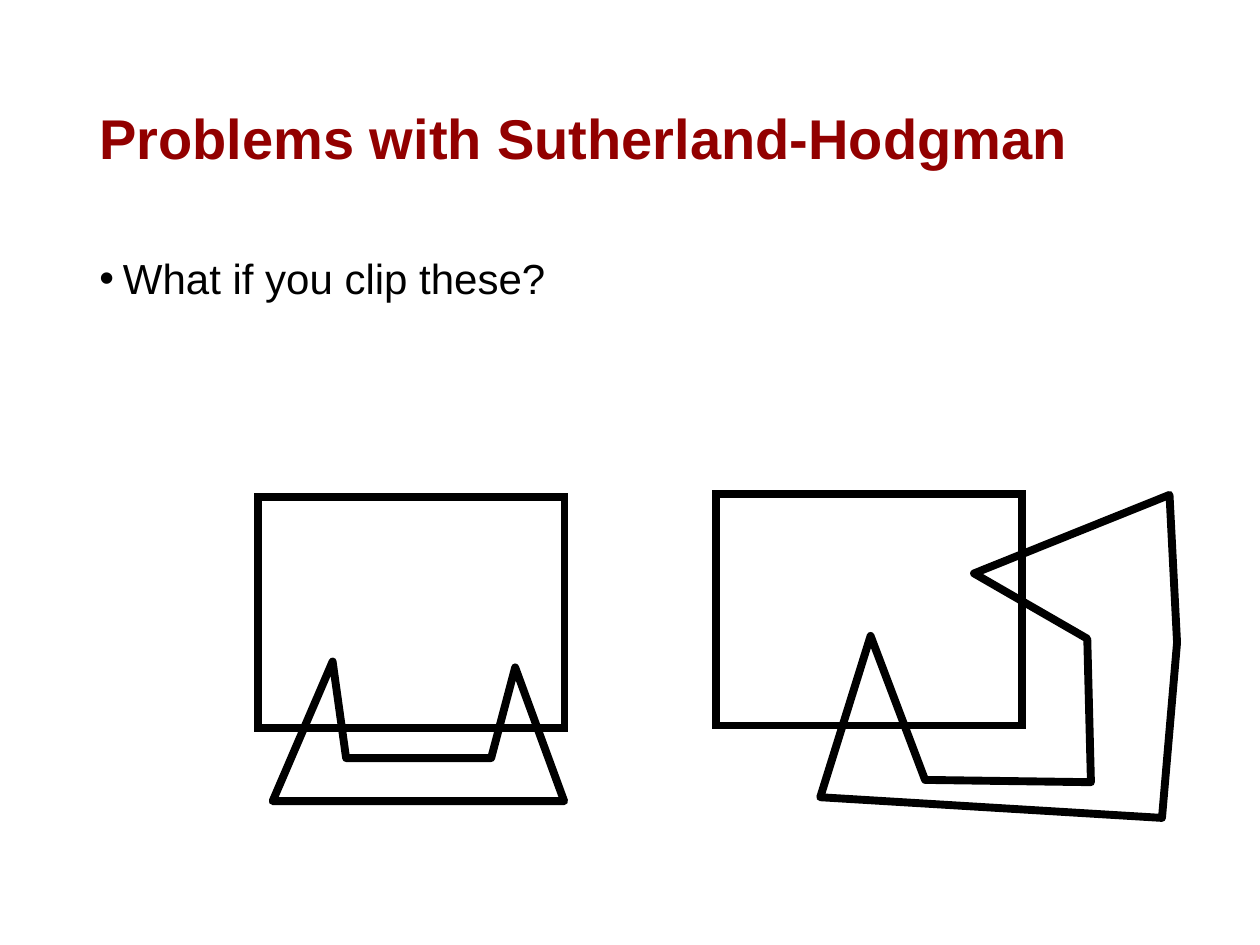
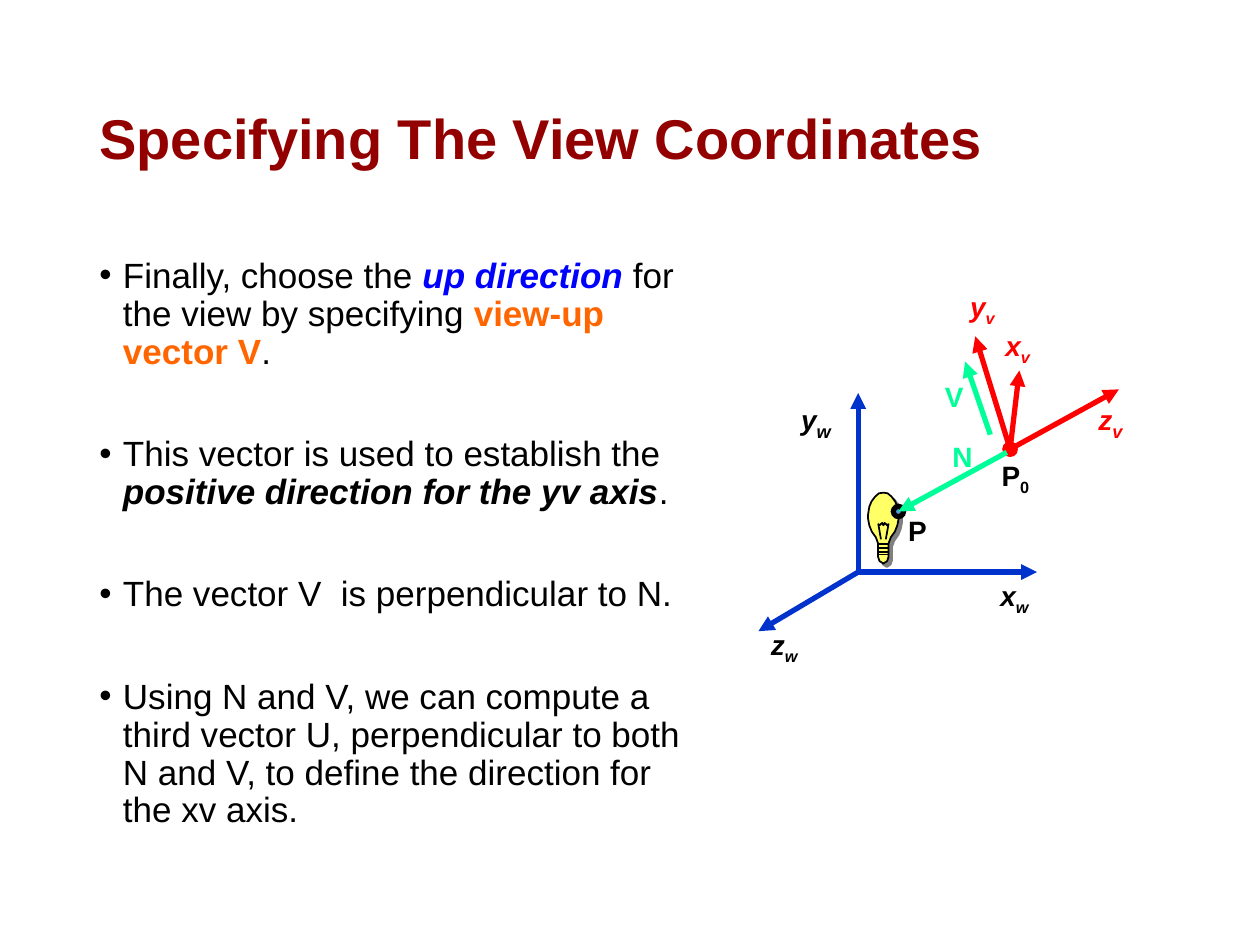
from dataclasses import dataclass
from lxml.etree import SubElement as Sub
from pptx import Presentation as Deck
from pptx.dml.color import RGBColor as Rgb
from pptx.enum.shapes import MSO_CONNECTOR as Link, MSO_SHAPE as Kind
from pptx.enum.text import MSO_ANCHOR as Anchor
from pptx.oxml.ns import qn
from pptx.util import Pt


@dataclass(frozen=True)
class Theme:
    font: str = "Arial"
    title: str = "920000"
    ink: str = "000000"
    up: str = "0000FF"
    hint: str = "FF6600"
    world: str = "0033CC"
    view: str = "FF0000"
    vector: str = "00FF99"
    bulb: str = "FFFF66"
    dot: str = "5B9BD5"
    shade: str = "808080"
    head: int = 32
    body: int = 24
    small: int = 20
    label: int = 16
    thick: float = 4.5
    line: float = 3
    thin: float = 1


class Page:
    def __init__(self, deck, theme):
        self.deck, self.theme, self.slide = deck, theme, None

    def start(self, title):
        self.slide = self.deck.slides.add_slide(self.deck.slide_layouts[6])
        frame = self.text(49.7, 28.8, 620.6, 104.4)
        frame.vertical_anchor = Anchor.MIDDLE
        para = frame.paragraphs[0]
        para.text, para.line_spacing = title, 0.9
        self.style(para.runs[0], self.theme.head, self.theme.title, bold=True)

    def text(self, x, y, wide, high):
        box = self.slide.shapes.add_textbox(Pt(x), Pt(y), Pt(wide), Pt(high))
        box.text_frame.word_wrap = True
        return box.text_frame

    def style(self, run, size, color, bold=False, slant=False):
        font = run.font
        font.name, font.size = self.theme.font, Pt(size)
        font.bold, font.italic = bold, slant
        font.color.rgb = Rgb.from_string(color)

    def bullets(self, items, size, wide, gap=0):
        """Each item is a list of (words, color, bold, slant)."""
        frame = self.text(49.7, 144, wide, 342.7)
        for num, item in enumerate(items):
            para = frame.add_paragraph() if num else frame.paragraphs[0]
            props = para._p.get_or_add_pPr()
            props.set("marL", str(Pt(13.5)))
            props.set("indent", str(-Pt(13.5)))
            Sub(props, qn("a:buFont"), typeface=self.theme.font)
            Sub(props, qn("a:buChar"), char="•")
            para.line_spacing = 0.9
            para.space_before = Pt(gap if num else 0)
            for words, color, bold, slant in item:
                run = para.add_run()
                run.text = words
                self.style(run, size, color, bold, slant)

    def label(self, x, y, name, color, sub="", slant=False, low=None):
        para = self.text(x, y, 40, 26.6).paragraphs[0]
        para.text = name
        self.style(para.runs[0], self.theme.label, color, True, slant)
        if sub:
            run = para.add_run()
            run.text = sub
            self.style(run, low or self.theme.label, color, True, slant)
            run._r.get_or_add_rPr().set("baseline", "-25000")

    def paint(self, shape, width, fill=None, join="round"):
        shape.shadow.inherit = False
        if fill:
            shape.fill.solid()
            shape.fill.fore_color.rgb = Rgb.from_string(fill)
        else:
            shape.fill.background()
        shape.line.width = Pt(width)
        shape.line.color.rgb = Rgb.from_string(self.theme.ink)
        Sub(shape._element.spPr.get_or_add_ln(), qn(f"a:{join}"))
        return shape

    def preset(self, kind, x, y, wide, high, width, fill=None):
        shape = self.slide.shapes.add_shape(kind, Pt(x), Pt(y), Pt(wide), Pt(high))
        return self.paint(shape, width, fill, "miter")

    def outline(self, paths, width, fill=None, close=True):
        pen = None
        for path in paths:
            first, *rest = [(Pt(x), Pt(y)) for x, y in path]
            if pen:
                pen.move_to(*first)
            else:
                pen = self.slide.shapes.build_freeform(*first)
            pen.add_line_segments(rest, close=close)
        return self.paint(pen.convert_to_shape(), width, fill)

    def shade(self, shape):
        effects = shape._element.spPr.find(qn("a:effectLst"))
        drop = Sub(effects, qn("a:outerShdw"), dist=str(Pt(2.8)), dir="2700000")
        Sub(drop, qn("a:srgbClr"), val=self.theme.shade)

    def arrow(self, begin, end, color, oval=False):
        line = self.slide.shapes.add_connector(
            Link.STRAIGHT, *(Pt(v) for v in (*begin, *end)))
        line.line.width = Pt(self.theme.line)
        line.line.color.rgb = Rgb.from_string(color)
        props = line._element.spPr
        edge = props.get_or_add_ln()
        if oval:
            Sub(edge, qn("a:headEnd"), type="oval")
        Sub(edge, qn("a:tailEnd"), type="triangle")
        Sub(props, qn("a:effectLst"))


def clip(page):
    theme = page.theme
    page.start("Problems with Sutherland-Hodgman")
    page.bullets([[("What if you clip these?", theme.ink, False, False)]],
                 theme.body, 620.6)

    # Clip windows
    for x, y in ((147.6, 283.9), (409, 282.3)):
        page.preset(Kind.RECTANGLE, x, y, 175, 132.3, theme.thick)

    # Concave polygons
    crown = [(190.1, 378), (155.8, 457.8), (322.4, 457.8),
             (294.4, 381.4), (280.7, 433.2), (197.8, 433.2)]
    hook = [(468.7, 455.6), (497.5, 363.4), (528.6, 445.7), (623.4, 447),
            (621.3, 365), (556.6, 327.7), (668.3, 282.8), (672.6, 367.2),
            (664, 467.4)]
    for path in (crown, hook):
        page.outline([path], theme.thick)


def bulb(page, mid):
    # Right half of the glass as (half width, height), mirrored for the left
    half = [(0, 281.5), (2.5, 281.9), (4.6, 283.7), (6.8, 286.6), (8, 289.6),
            (8.7, 293.8), (8.7, 296.6), (8, 300.2), (6.6, 303.8), (4.3, 307),
            (3, 310.5), (3, 318.2), (2.2, 320.6), (0, 322)]
    glass = [(mid + x, y) for x, y in half]
    glass += [(mid - x, y) for x, y in half[-2:0:-1]]
    page.shade(page.outline([glass], page.theme.thin, page.theme.bulb))

    # Filament and screw thread
    wire = [(-1.4, 308.2), (-2.9, 299.5), (-2.2, 300.2), (-0.7, 298.8),
            (0, 300.2), (0.7, 298.8), (2.2, 300.2), (2.9, 299.5), (1.4, 308.2)]
    screw = [(-2.9, 311), (2.9, 311), (2.9, 313.2), (-2.9, 313.2),
             (-2.9, 315.4), (2.9, 315.4), (2.9, 316.8), (-2.9, 316.8)]
    paths = [[(mid + x, y) for x, y in path] for path in (wire, screw)]
    page.outline(paths, page.theme.thin, close=False)


def view(page):
    theme = page.theme
    ink, red, green = theme.ink, theme.view, theme.vector

    def plain(words):
        return words, ink, False, False

    page.start("Specifying The View Coordinates")
    page.bullets([
        [plain("Finally, choose the "), ("up direction ", theme.up, True, True),
         plain("for the view by specifying "),
         ("view-up vector V", theme.hint, True, False), plain(".")],
        [plain("This vector is used to establish the "),
         ("positive direction for the yv axis", ink, True, True), plain(".")],
        [plain("The vector V  is perpendicular to N.")],
        [plain("Using N and V, we can compute a third vector U, perpendicular "
               "to both N and V, to define the direction for the xv axis.")],
    ], theme.small, 360, gap=37)

    # World and view axes
    for tip in ((490.4, 224.6), (592.6, 326.9), (433.4, 360.7)):
        page.arrow((490.4, 326.9), tip, theme.world)
    for tip, oval in (((557.3, 192.2), False), ((582.5, 211.7), False),
                      ((639.4, 222.5), True)):
        page.arrow((577.2, 256.7), tip, red, oval)

    # Light at P, with the vectors N and V
    bulb(page, 504.8)
    page.preset(Kind.OVAL, 510.5, 289.4, 5.8, 5.8, theme.line, theme.dot)
    page.arrow((575.3, 258.5), (513.4, 292.3), green)
    page.arrow((565.9, 248.4), (551.5, 206.6), green)

    # Axis names, some with a larger subscript
    for x, y, name, sub, color, low in (
            (564.5, 326.9, "x", "w", ink, 16), (433.4, 355, "z", "w", ink, 16),
            (450.7, 224.6, "y", "w", ink, 18), (567.4, 184.3, "x", "v", red, 16),
            (620.6, 224.6, "z", "v", red, 18), (547.2, 162, "y", "v", red, 16)):
        page.label(x, y, name, color, sub, True, low)

    # Point and vector names
    page.label(565.2, 258.5, "P", ink, "0")
    for x, y, name, color in ((511.9, 290.2, "P", ink), (537.1, 247.7, "N", green),
                              (532.8, 213.1, "V", green)):
        page.label(x, y, name, color)


def main():
    deck = Deck()
    deck.slide_width, deck.slide_height = Pt(720), Pt(540)
    page = Page(deck, Theme())
    clip(page)
    view(page)
    deck.save("out.pptx")


if __name__ == "__main__":
    main()
